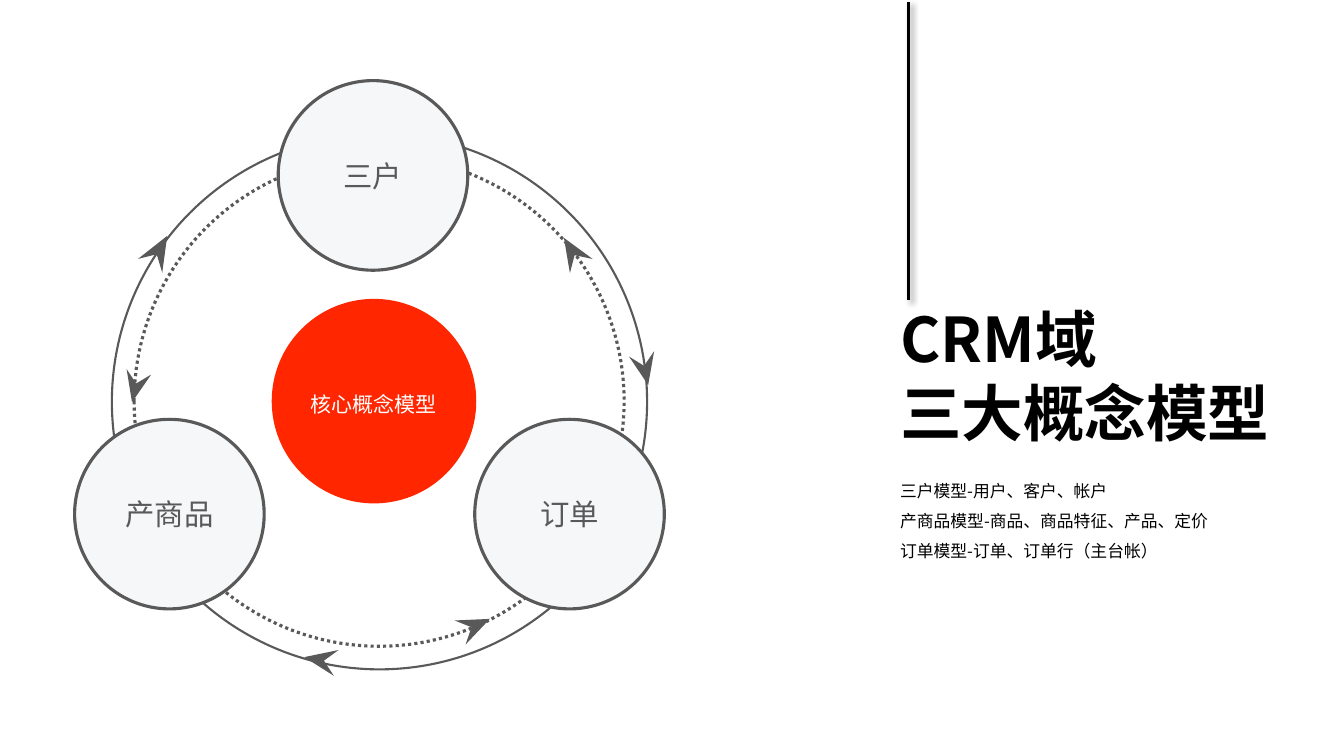
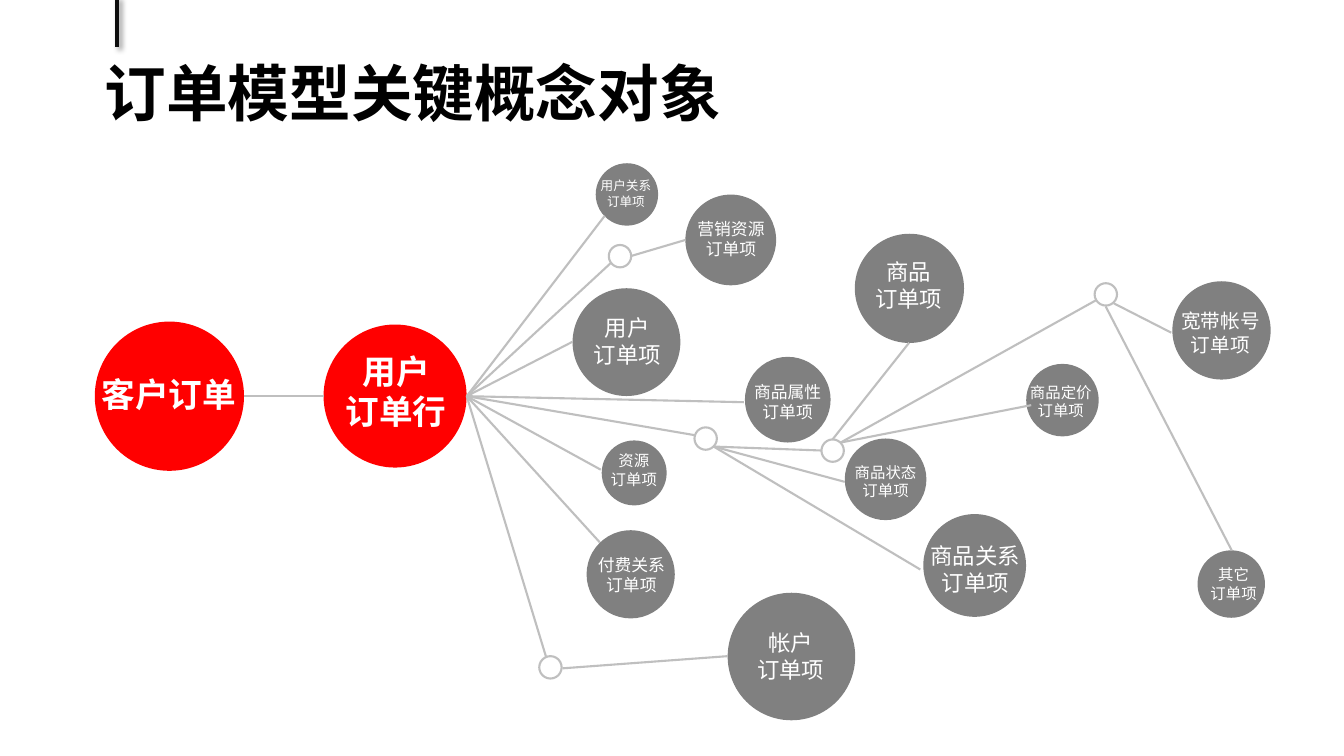
import math

import lxml.etree
import pptx
import pptx.dml.color
import pptx.enum.dml
import pptx.enum.shapes
import pptx.enum.text
import pptx.oxml.ns
import pptx.util

Pt = pptx.util.Pt
qn = pptx.oxml.ns.qn
ALIGN = pptx.enum.text.PP_ALIGN
COLOURS = {
    "black": "000000", "white": "FFFFFF", "ink": "595959", "paper": "F5F7F9", "core": "FF2600",
    "order": "FF0000", "item": "808080", "branch": "BFBFBF", "bar": "0D0D0D",
}
TITLE = {"size": Pt(44), "bold": True}
BODY = {"size": Pt(12)}


class Deck:
    """Draws styled elements on the current slide; lengths are in points."""

    font_name = "Noto Sans CJK SC"

    def __init__(self):
        self.show = pptx.Presentation()
        self.show.slide_width, self.show.slide_height = Pt(960), Pt(540)

    def new_slide(self):
        self.shapes = self.show.slides.add_slide(self.show.slide_layouts[6]).shapes

    def colour(self, target, name):
        target.rgb = pptx.dml.color.RGBColor.from_string(COLOURS[name])

    def paint(self, shape, fill=None, line=None, width=1.5, dash=None):
        shape.shadow.inherit = False
        if fill:
            shape.fill.solid()
            self.colour(shape.fill.fore_color, fill)
        else:
            shape.fill.background()
        if line:
            self.colour(shape.line.color, line)
            shape.line.width = Pt(width)
            shape.line.dash_style = dash
        else:
            shape.line.fill.background()

    def set_lines(self, frame, lines, style, colour, align=ALIGN.LEFT, spacing=None):
        for index, line in enumerate(lines):
            paragraph = frame.paragraphs[0] if index == 0 else frame.add_paragraph()
            paragraph.alignment, paragraph.line_spacing = align, spacing
            run = paragraph.add_run()
            run.text = line
            for name, value in {"name": self.font_name, **style}.items():
                setattr(run.font, name, value)
            self.colour(run.font.color, colour)
            lxml.etree.SubElement(run.font._element, qn("a:ea"), typeface=self.font_name)

    def text(self, left, top, width, height, lines, style, colour="black", wrap=False, **layout):
        frame = self.shapes.add_textbox(Pt(left), Pt(top), Pt(width), Pt(height)).text_frame
        frame.word_wrap = wrap
        frame.auto_size = pptx.enum.text.MSO_AUTO_SIZE.SHAPE_TO_FIT_TEXT
        self.set_lines(frame, lines, style, colour, **layout)

    def label(self, left, top, lines, size, bold=False):
        width = max(map(len, lines)) * size + 14.4
        height = len(lines) * size * 1.2 + 7.2
        self.text(left, top, width, height, lines, {"size": Pt(size), "bold": bold},
                  "white", align=ALIGN.CENTER)

    def circle(self, left, top, diameter, **look):
        circle = self.shapes.add_shape(pptx.enum.shapes.MSO_SHAPE.OVAL, Pt(left), Pt(top),
                                       Pt(diameter), Pt(diameter))
        self.paint(circle, **look)
        return circle

    def named_circle(self, left, top, diameter, name, size, colour, spacing=None, **look):
        frame = self.circle(left, top, diameter, **look).text_frame
        layout = {
            "margin_left": Pt(4.3), "margin_right": Pt(4.3), "margin_top": Pt(4.3),
            "margin_bottom": Pt(4.3), "vertical_anchor": pptx.enum.text.MSO_ANCHOR.MIDDLE,
        }
        for key, value in layout.items():
            setattr(frame, key, value)
        self.set_lines(frame, [name], {"size": Pt(size)}, colour, ALIGN.CENTER, spacing)

    def arrowhead(self, x, y, tail_angle, length):
        def corner(distance, turn):
            angle = math.radians(tail_angle + turn)
            return Pt(x + distance * math.cos(angle)), Pt(y + distance * math.sin(angle))

        builder = self.shapes.build_freeform(Pt(x), Pt(y), scale=1.0)
        builder.add_line_segments([corner(length, -22), corner(length * 0.57, 0), corner(length, 22)])
        self.paint(builder.convert_to_shape(), fill="ink")

    def line(self, start, end, colour="branch", width=1.5):
        line = self.shapes.add_connector(pptx.enum.shapes.MSO_CONNECTOR.STRAIGHT,
                                         *map(Pt, (*start, *end)))
        self.colour(line.line.color, colour)
        line.line.width = Pt(width)
        return lxml.etree.SubElement(line._element.spPr, qn("a:effectLst"))

    def title_bar(self, x, top, bottom, colour, width):
        effects = self.line((x, top), (x, bottom), colour, width)
        shadow = lxml.etree.SubElement(effects, qn("a:outerShdw"), blurRad=str(Pt(4)),
                                       dist=str(Pt(3)), dir="2700000", rotWithShape="0")
        tint = lxml.etree.SubElement(shadow, qn("a:srgbClr"), val=COLOURS["black"])
        lxml.etree.SubElement(tint, qn("a:alpha"), val="40000")


deck = Deck()

deck.new_slide()
deck.circle(95.8, 111.6, 350, line="ink", width=2.25, dash=pptx.enum.dml.MSO_LINE.ROUND_DOT)
deck.circle(79.9, 95.8, 382.3, line="ink")
for model, left, top in [("三户", 198.7, 57.6), ("产商品", 53.3, 299.5), ("订单", 339.1, 299.5)]:
    deck.named_circle(left, top, 135.4, model, 21, "ink", fill="paper", line="ink", width=2.25)
for arrow in [
    (119.5, 168.5, 119.7, 26.6), (217.4, 469.4, 10.3, 25), (463, 275, -102, 24.5),
    (402.8, 169.9, 58.3, 25.5), (349.9, 442.1, 155.4, 25.2), (94.3, 287.3, -77.3, 24),
]:
    deck.arrowhead(*arrow)
deck.named_circle(196.6, 216, 141.1, "核心概念模型", 15, "white", 1.2,
                  fill="core", line="core", width=5)
deck.text(635.8, 211.7, 280.8, 113.8, ["CRM域", "三大概念模型"], TITLE)
deck.text(635.8, 332.6, 283, 72.7, [
    "三户模型-用户、客户、帐户",
    "产商品模型-商品、商品特征、产品、定价",
    "订单模型-订单、订单行（主台帐）",
], BODY, wrap=True, spacing=1.5)
deck.title_bar(648.7, 1.4, 214.6, "black", 2)

deck.new_slide()
orders = [
    (["客户订单"], 67.7, 229.7, 106.6, 65.5, 263.5),
    (["用户", "订单行"], 231.1, 231.8, 102.2, 239.8, 247),
]
items = [
    ("用户", 16, 409, 205.9, 77, 416.9, 221),
    ("用户关系", 9, 425.5, 116.6, 44.6, 421.9, 123.8),
    ("商品状态", 11, 603.4, 313.2, 58.3, 603.4, 326.9),
    ("商品", 16, 610.6, 167, 78, 617.8, 180.7),
    ("商品属性", 12, 532.1, 254.9, 61.2, 531.4, 269.3),
    ("宽带帐号", 14, 837.4, 200.9, 70.2, 836.6, 217.4),
    ("帐户", 16, 519.8, 423.4, 91.1, 533.5, 445.7),
    ("其它", 11, 855.4, 393.1, 48.2, 857.5, 400.3),
    ("资源", 11, 429.8, 314.6, 46.4, 429.1, 319),
    ("营销资源", 12, 489.6, 139, 64.8, 491, 152.6),
    ("付费关系", 12, 419, 378.7, 63, 419.8, 392.4),
    ("商品定价", 11, 733, 259.9, 51.8, 728.6, 270),
    ("商品关系", 16, 659.5, 367.2, 73.4, 657.4, 383.8),
]
branches = {
    (231.1, 283): [(174.2, 283)],
    (333.4, 283): [(432, 154.1), (409, 244.1), (429.1, 335.5), (428.4, 387.4),
                   (391, 472.3), (531.4, 287.3), (437.8, 186.5), (501.8, 311.8)],
    (401.8, 477.4): [(519.8, 468.7)],
    (450.7, 182.9): [(489.6, 171.4)],
    (509.8, 319): [(603.4, 344.2), (657.4, 406.8), (586.8, 321.8)],
    (600.5, 316.1): [(736.6, 289.4), (784.1, 213.8)],
    (594.7, 313.9): [(649.4, 244.8)],
    (795.6, 216.7): [(836.6, 237.6)],
    (789.8, 218.9): [(879.8, 393.1)],
}
joints = [(385.2, 468.7), (434.9, 175), (496.1, 305.3), (586.8, 313.9), (781.9, 202.3)]
for name, left, top, diameter, label_left, label_top in orders:
    deck.circle(left, top, diameter, fill="order")
    deck.label(label_left, label_top, name, 24, bold=True)
for name, size, left, top, diameter, label_left, label_top in items:
    deck.circle(left, top, diameter, fill="item")
    deck.label(label_left, label_top, [name, "订单项"], size)
for start, ends in branches.items():
    for end in ends:
        deck.line(start, end)
for left, top in joints:
    deck.circle(left, top, 16, fill="white", line="branch")
deck.title_bar(83.5, -2.2, 33.8, "bar", 3)
deck.text(67.7, 36, 459.4, 60.5, ["订单模型关键概念对象"], TITLE)

deck.show.save("out.pptx")
